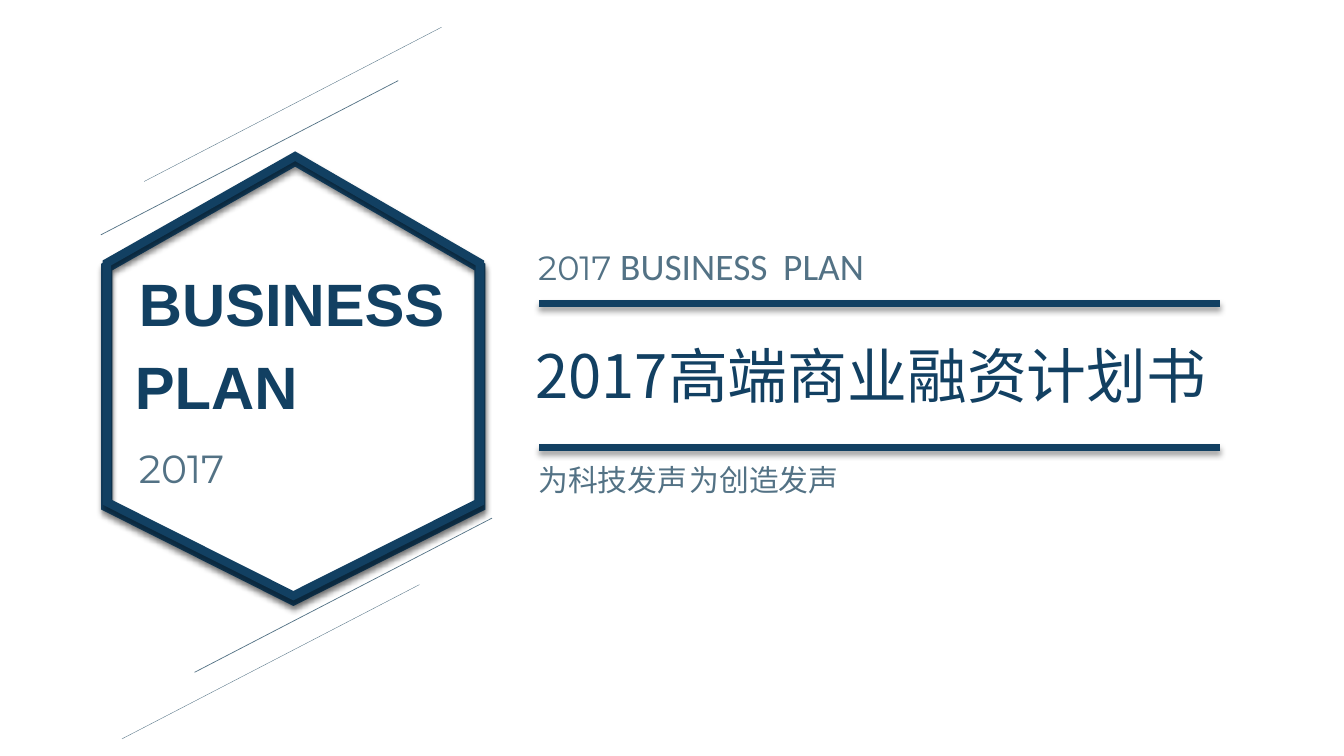
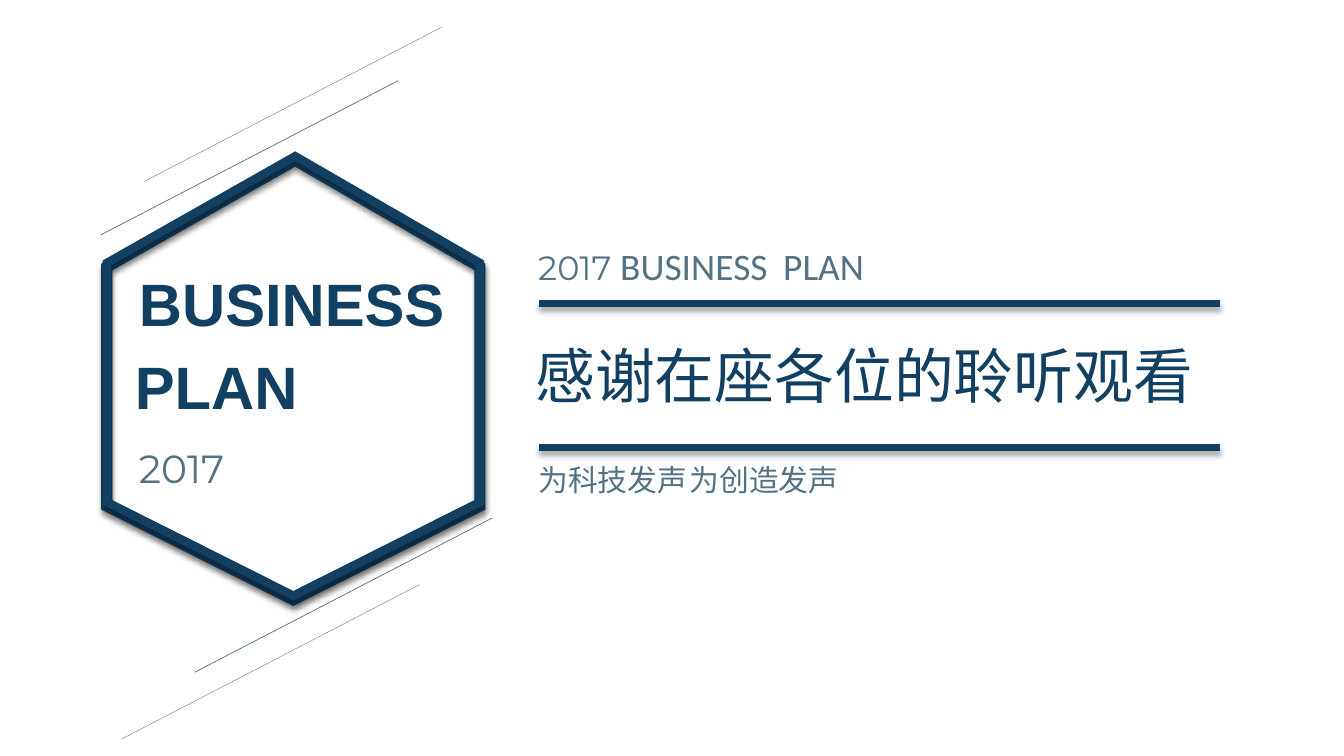
from pptx import Presentation
from pptx.dml.color import RGBColor as RGB
from pptx.enum.shapes import MSO_CONNECTOR as CONN
from pptx.enum.text import MSO_ANCHOR as ANCHOR, MSO_AUTO_SIZE as SIZE, PP_ALIGN as ALIGN
from pptx.oxml.ns import qn
from pptx.util import Inches, Pt
from lxml.etree import SubElement as Sub

COLORS = {"navy": "124062", "slate": "537285", "black": "000000"}
CJK = "Noto Sans CJK SC"
STYLES = {
    "title": {"name": CJK, "size": 42.7, "color": "navy", "bold": False},
    "tag": {"name": CJK, "size": 21.3, "color": "slate", "bold": False},
    "year": {"name": "Montserrat", "size": 24, "color": "slate"},
    "plan": {"name": "Calibri", "size": 26.7, "color": "slate"},
    "word": {"name": "Arial", "size": 42.7, "color": "navy", "bold": True},
    "date": {"name": "Montserrat", "size": 28, "color": "slate"},
}
FRAME = {
    "auto_size": SIZE.NONE,
    "vertical_anchor": ANCHOR.TOP,
    "margin_left": Inches(0.1),
    "margin_right": Inches(0.1),
    "margin_top": Inches(0.05),
    "margin_bottom": Inches(0.05),
}
PARA = {"alignment": ALIGN.LEFT, "space_before": Pt(0), "line_spacing": 1.0}
BADGE = (1, 0.27, 3.88, 7.06)
PANEL = (5.24, 2.36, 6.98, 2.63)
TITLES = ["2017高端商业融资计划书", "感谢在座各位的聆听观看"]


def apply(obj, values):
    for key, value in values.items():
        setattr(obj, key, value)


def style(run, name):
    values = dict(STYLES[name])
    run.font.color.rgb = RGB.from_string(COLORS[values.pop("color")])
    values["size"] = Pt(values["size"])
    apply(run.font, values)
    if values["name"] == CJK:
        Sub(run.font._element, qn("a:ea"), typeface=CJK)


def write(shape, box, runs, wrap=True, tab=None):
    apply(shape, dict(zip(("left", "top", "width", "height"), map(Inches, box))))
    frame = shape.text_frame
    apply(frame, {**FRAME, "word_wrap": wrap})
    para = frame.paragraphs[0]
    apply(para, PARA)
    if tab:
        tabs = Sub(para._p.get_or_add_pPr(), qn("a:tabLst"))
        Sub(tabs, qn("a:tab"), pos=str(Inches(tab)), algn="l")
    for text, name in runs:
        run = para.add_run()
        run.text = text
        style(run, name)


def label(slide, box, runs, **opts):
    write(slide.shapes.add_textbox(*map(Inches, box)), box, runs, **opts)


def stroke(shape, color, width, shade=False):
    shape.line.color.rgb = RGB.from_string(COLORS[color])
    shape.line.width = Pt(width)
    props = shape._element.spPr
    effects = Sub(props, qn("a:effectLst"))
    if shade:
        shadow = Sub(effects, qn("a:outerShdw"), blurRad=str(Pt(4)), dist=str(Pt(3)),
                     dir="5400000", algn="t", rotWithShape="0")
        tone = Sub(shadow, qn("a:srgbClr"), val=COLORS["black"])
        Sub(tone, qn("a:alpha"), val="40000")


def line(slide, start, end, color, width, shade=False):
    link = slide.shapes.add_connector(CONN.STRAIGHT, *map(Inches, (*start, *end)))
    stroke(link, color, width, shade)


def hexagon(slide, box, width):
    x, y, w, h = box
    marks = [(0.505, 0), (1, 0.243), (1, 0.787), (0.5, 1), (0, 0.787), (0, 0.243)]
    points = [(Inches(x + w * u), Inches(y + h * v)) for u, v in marks]
    build = slide.shapes.build_freeform(*points[0])
    build.add_line_segments(points[1:], close=True)
    shape = build.convert_to_shape()
    shape.fill.background()
    stroke(shape, "navy", width, True)
    Sub(shape.line._get_or_add_ln(), qn("a:miter"), lim="800000")


def badge(slide, box):
    x, y, w, h = box
    for drop, width in ((1.32, 8), (1.28, 6)):
        hexagon(slide, (x + 0.06, y + drop, w - 0.18, 4.36), width)
    run, rise = 2.95, 1.53
    rays = [(w - run, h - 0.66, 0.5), (0.21, h, 0.25), (0, 2.06, 0.5), (0.43, rise, 0.25)]
    for dx, dy, width in rays:
        line(slide, (x + dx, y + dy), (x + dx + run, y + dy - rise), "slate", width)
    words = [(0.28, 2.33, 3.27, 0.82, "BUSINESS", "word"),
             (0.24, 3.15, 1.83, 0.82, "PLAN", "word"),
             (0.28, 4.09, 1.38, 0.57, "2017", "date")]
    for dx, dy, wide, high, text, name in words:
        label(slide, (x + dx, y + dy, wide, high), [(text, name)], wrap=False)


def panel(slide, box, title):
    x, y, w, h = box
    for dy in (0.65, 2.08):
        line(slide, (x + 0.11, y + dy), (x + w - 0.12, y + dy), "navy", 4.5, True)
    label(slide, (x, y, 4.26, 0.55), [("2017 ", "year"), ("BUSINESS\tPLAN", "plan")], tab=2.43)
    write(slide.shapes.title, (x - 0.03, y + 0.95, w + 0.04, 0.82), [(title, "title")])
    write(slide.placeholders[1], (x, y + h - 0.46, 3.62, 0.46),
          [("为科技发声\t为创造发声", "tag")], tab=1.68)


def main():
    deck = Presentation()
    apply(deck, {"slide_width": Inches(13.33), "slide_height": Inches(7.5)})
    for title in TITLES:
        slide = deck.slides.add_slide(deck.slide_layouts[0])
        badge(slide, BADGE)
        panel(slide, PANEL, title)
    deck.save("out.pptx")


if __name__ == "__main__":
    main()
